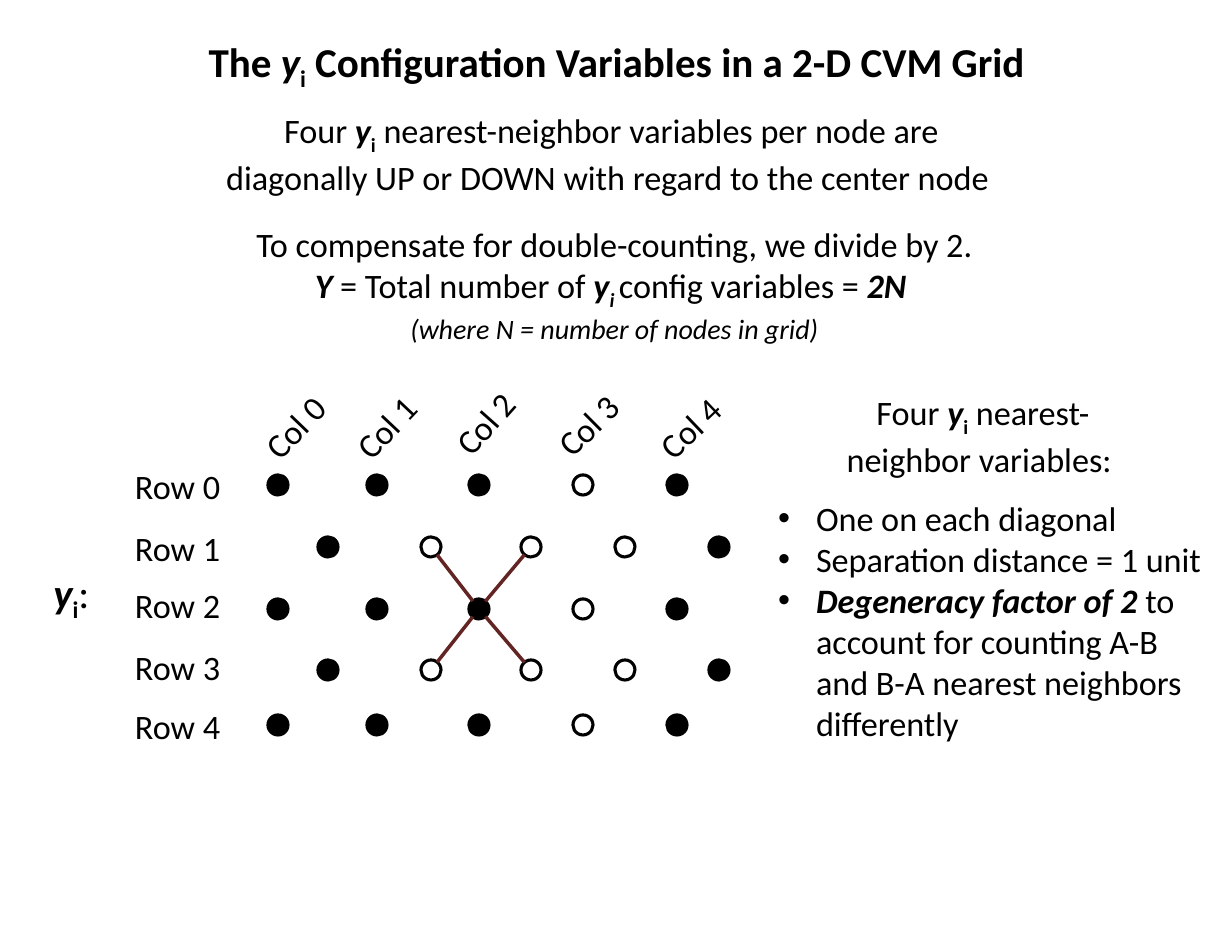
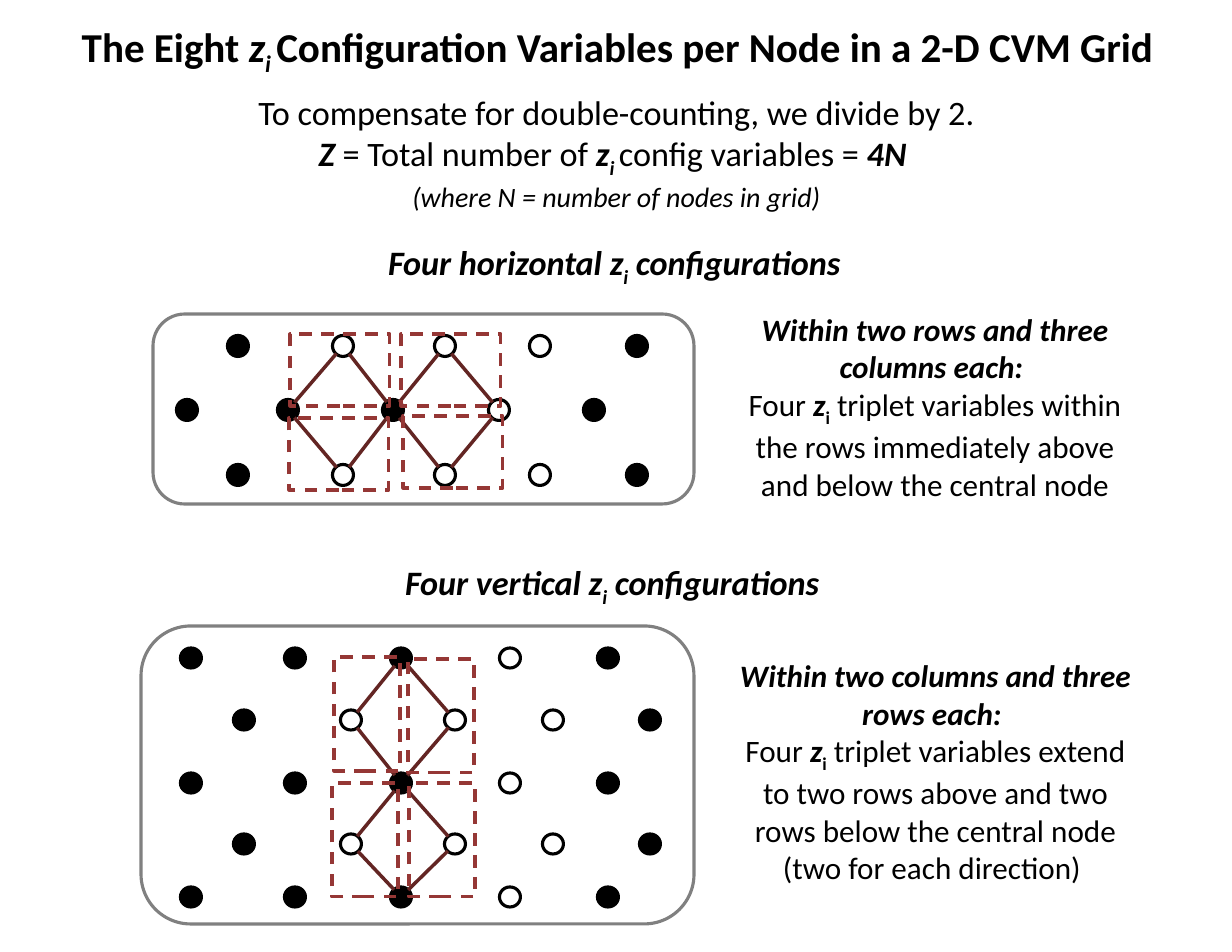
from itertools import product
from math import hypot

from lxml.etree import SubElement
from pptx import Presentation
from pptx.dml.color import RGBColor
from pptx.enum.dml import MSO_LINE
from pptx.enum.shapes import MSO_CONNECTOR, MSO_SHAPE
from pptx.enum.text import MSO_AUTO_SIZE, PP_ALIGN
from pptx.oxml.ns import qn
from pptx.util import Pt

# Shared look
EMU_PER_PX = 914400 / 112
SLIDE_SIZE = (1232, 952)
FONT = "Calibri"
COLORS = {"ink": "000000", "link": "632523", "triplet": "953735", "frame": "808080"}
TITLE_SIZE, BODY_SIZE, SIDE_SIZE, NOTE_SIZE = 26.4, 22, 20, 18
LINK_GAP = 10
BULLET_INDENT = 38
EVEN_ROW, ODD_ROW = "●●●○●", "●○○○●"


# Content: a paragraph is a list of (text, style); b bold, i italic, s subscript
def variable(letter, tail="", subscript="bs"):
    return [(letter, "bi"), ("i", subscript), (tail, "")]


def total(letter, count):
    return [
        [("To compensate for double-counting, we divide by 2. ", ""), (letter.upper(), "bi"),
         (" = Total number of ", ""), (letter, "bi"), ("i ", "bis"),
         ("config variables = ", ""), (count + " ", "bi")],
        [("(where N = number of nodes in grid)", "i")],
    ]


def heading(direction):
    return [[(f"Four {direction} z", "bi"), ("i", "bis"), (" configurations", "bi")]]


def side_note(scope, tail):
    return [[(scope, "bi")], [("Four ", "")] + variable("z", tail)]


TITLE_Y = [[("The ", "b"), ("y", "bi"), ("i", "bs"),
            (" Configuration Variables in a 2-D CVM Grid", "b")]]
TITLE_Z = [[("The Eight ", "b"), ("z", "bi"), ("i ", "bis"),
            ("Configuration Variables per Node in a 2-D CVM Grid", "b")]]
NEIGHBOR_INTRO = [[("Four ", "")] + variable(
    "y", " nearest-neighbor variables per node are diagonally UP or DOWN"
    " with regard to the center node ")]
NEIGHBOR_HEADING = [[("Four ", "")] + variable("y", " nearest-neighbor variables: ")]
NEIGHBOR_POINTS = [
    [("One on each diagonal", "")],
    [("Separation distance = 1 unit", "")],
    [("Degeneracy factor of 2 ", "bi"),
     ("to account for counting A-B and B-A nearest neighbors differently", "")],
]
HORIZONTAL_NOTE = side_note(
    "Within two rows and three columns each: ",
    " triplet variables within the rows immediately above and below the central node")
VERTICAL_NOTE = side_note(
    "Within two columns and three rows each: ",
    " triplet variables extend to two rows above and two rows below the central node"
    " (two for each direction) ")

ROW_LABELS = {"left": 124, "tops": [460, 522, 579, 641, 700], "size": (109, 53)}
COLUMN_LABELS = {  # left, top, rotation
    "places": [(249, 400, 313.9), (340, 400, 313.3), (439, 396, 311.6),
               (542, 398, 315.2), (644, 401, 316.4)],
    "size": (93, 53),
}

# Grids: links join (row, column) nodes
NEIGHBOR_GRID = {
    "dot": (20, 20),
    "columns": {EVEN_ROW: [278, 377, 479, 583, 677], ODD_ROW: [328, 431, 531, 625, 719]},
    "rows": [(485, EVEN_ROW), (547, ODD_ROW), (609, EVEN_ROW), (670, ODD_ROW), (725, EVEN_ROW)],
    "links": [(outer, (2, 2)) for outer in product((1, 3), (1, 2))],
}
HORIZONTAL_GRID = {
    "dot": (21, 21),
    "columns": {EVEN_ROW: [187, 288, 393, 499, 594], ODD_ROW: [238, 343, 445, 540, 637]},
    "rows": [(346, ODD_ROW), (410, EVEN_ROW), (475, ODD_ROW)],
    "links": [((row, column), (1, column + step))
              for row, column, step in product((0, 2), (1, 2), (0, 1))],
    "frame": (153, 314, 541, 190),
    "triplet_size": (100, 72),
    "triplets": [(290, 334), (289, 418), (401, 334), (403, 416)],
}
VERTICAL_GRID = {
    "dot": (21, 20),
    "columns": {EVEN_ROW: [191, 295, 401, 510, 608], ODD_ROW: [244, 351, 455, 553, 650]},
    "rows": [(658, EVEN_ROW), (720, ODD_ROW), (783, EVEN_ROW), (844, ODD_ROW), (897, EVEN_ROW)],
    "links": [((row, column), (row + step, 2))
              for row, column, step in product((1, 3), (1, 2), (-1, 1))],
    "frame": (141, 626, 553, 298),
    "triplet_size": (66, 114),
    "triplets": [(334, 657), (408, 659), (409, 783), (332, 783)],
}


# Helpers
def emu(*lengths):
    return [round(length * EMU_PER_PX) for length in lengths]


def color(name):
    return RGBColor.from_string(COLORS[name])


def apply(target, values):
    for name, value in values.items():
        setattr(target, name, value)


def add_text(slide, box, paragraphs, size=BODY_SIZE, align=PP_ALIGN.CENTER,
             wrap=True, bullets=False, last_size=None, rotation=0):
    shape = slide.shapes.add_textbox(*emu(*box))
    shape.rotation = rotation
    frame = shape.text_frame
    apply(frame, {"word_wrap": wrap, "auto_size": MSO_AUTO_SIZE.SHAPE_TO_FIT_TEXT})
    for index, runs in enumerate(paragraphs):
        paragraph = frame.add_paragraph() if index else frame.paragraphs[0]
        paragraph.alignment = align
        if bullets:
            properties = paragraph._p.get_or_add_pPr()
            indent = emu(BULLET_INDENT)[0]
            properties.set("marL", str(indent))
            properties.set("indent", str(-indent))
            SubElement(properties, qn("a:buFont")).set("typeface", "Arial")
            SubElement(properties, qn("a:buChar")).set("char", "•")
        is_last = index == len(paragraphs) - 1
        for text, style in runs:
            if not text:
                continue
            run = paragraph.add_run()
            run.text = text
            apply(run.font, {
                "name": FONT, "size": Pt(last_size if last_size and is_last else size),
                "bold": "b" in style, "italic": "i" in style,
            })
            run.font.color.rgb = color("ink")
            if "s" in style:
                run._r.get_or_add_rPr().set("baseline", "-25000")


def add_outline(shapes, kind, box, line_color, filled=False, dash=None):
    shape = shapes.add_shape(kind, *emu(*box))
    shape.shadow.inherit = False
    if filled:
        shape.fill.solid()
        shape.fill.fore_color.rgb = color(line_color)
    else:
        shape.fill.background()
    shape.line.color.rgb = color(line_color)
    apply(shape.line, {"width": Pt(2), "dash_style": dash})


def add_link(shapes, start, end):
    dx, dy = end[0] - start[0], end[1] - start[1]
    trim = LINK_GAP / hypot(dx, dy)
    points = (start[0] + dx * trim, start[1] + dy * trim,
              end[0] - dx * trim, end[1] - dy * trim)
    connector = shapes.add_connector(MSO_CONNECTOR.STRAIGHT, *emu(*points))
    connector.line.color.rgb = color("link")
    connector.line.width = Pt(2.25)
    SubElement(connector._element.spPr, qn("a:effectLst"))


def add_grid(shapes, grid):
    width, height = grid["dot"]
    centers = {}
    for row, (y, pattern) in enumerate(grid["rows"]):
        for column, (x, mark) in enumerate(zip(grid["columns"][pattern], pattern)):
            centers[row, column] = (x, y)
            box = (x - width / 2, y - height / 2, width, height)
            add_outline(shapes, MSO_SHAPE.OVAL, box, "ink", filled=mark == "●")
    for start, end in grid["links"]:
        add_link(shapes, centers[start], centers[end])
    if "frame" in grid:
        add_outline(shapes, MSO_SHAPE.ROUNDED_RECTANGLE, grid["frame"], "frame")
    for corner in grid.get("triplets", []):
        add_outline(shapes, MSO_SHAPE.RECTANGLE, corner + grid["triplet_size"],
                    "triplet", dash=MSO_LINE.DASH)


# Slides
def build_neighbor_slide(slide):
    add_text(slide, (193, 31, 848, 62), TITLE_Y, TITLE_SIZE)
    add_grid(slide.shapes, NEIGHBOR_GRID)
    label_format = {"align": PP_ALIGN.LEFT, "wrap": False}
    for index, top in enumerate(ROW_LABELS["tops"]):
        add_text(slide, (ROW_LABELS["left"], top) + ROW_LABELS["size"],
                 [[(f"Row {index}", "")]], **label_format)
    for index, (left, top, rotation) in enumerate(COLUMN_LABELS["places"]):
        add_text(slide, (left, top) + COLUMN_LABELS["size"],
                 [[(f"Col {index}", "")]], rotation=rotation, **label_format)
    add_text(slide, (809, 386, 348, 94), NEIGHBOR_HEADING)
    add_text(slide, (767, 492, 456, 260), NEIGHBOR_POINTS, align=PP_ALIGN.LEFT, bullets=True)
    add_text(slide, (34, 562, 84, 62), [variable("y", ": ")], TITLE_SIZE)
    add_text(slide, (215, 104, 793, 94), NEIGHBOR_INTRO)
    add_text(slide, (240, 218, 749, 128), total("y", "2N"), last_size=NOTE_SIZE)


def build_triplet_slide(slide):
    add_text(slide, (48, 16, 1140, 62), TITLE_Z, TITLE_SIZE)
    add_text(slide, (731, 305, 408, 199), HORIZONTAL_NOTE, SIDE_SIZE)
    add_text(slide, (721, 651, 429, 237), VERTICAL_NOTE, SIDE_SIZE)
    for grid in (HORIZONTAL_GRID, VERTICAL_GRID):
        add_grid(slide.shapes.add_group_shape().shapes, grid)
    heading_format = {"align": PP_ALIGN.LEFT, "wrap": False}
    add_text(slide, (377, 236, 482, 53), heading("horizontal"), **heading_format)
    add_text(slide, (394, 556, 444, 53), heading("vertical"), **heading_format)
    add_text(slide, (242, 86, 749, 128), total("z", "4N"), last_size=NOTE_SIZE)


def main():
    presentation = Presentation()
    presentation.slide_width, presentation.slide_height = emu(*SLIDE_SIZE)
    for build in (build_neighbor_slide, build_triplet_slide):
        build(presentation.slides.add_slide(presentation.slide_layouts[6]))
    presentation.save("out.pptx")


if __name__ == "__main__":
    main()
